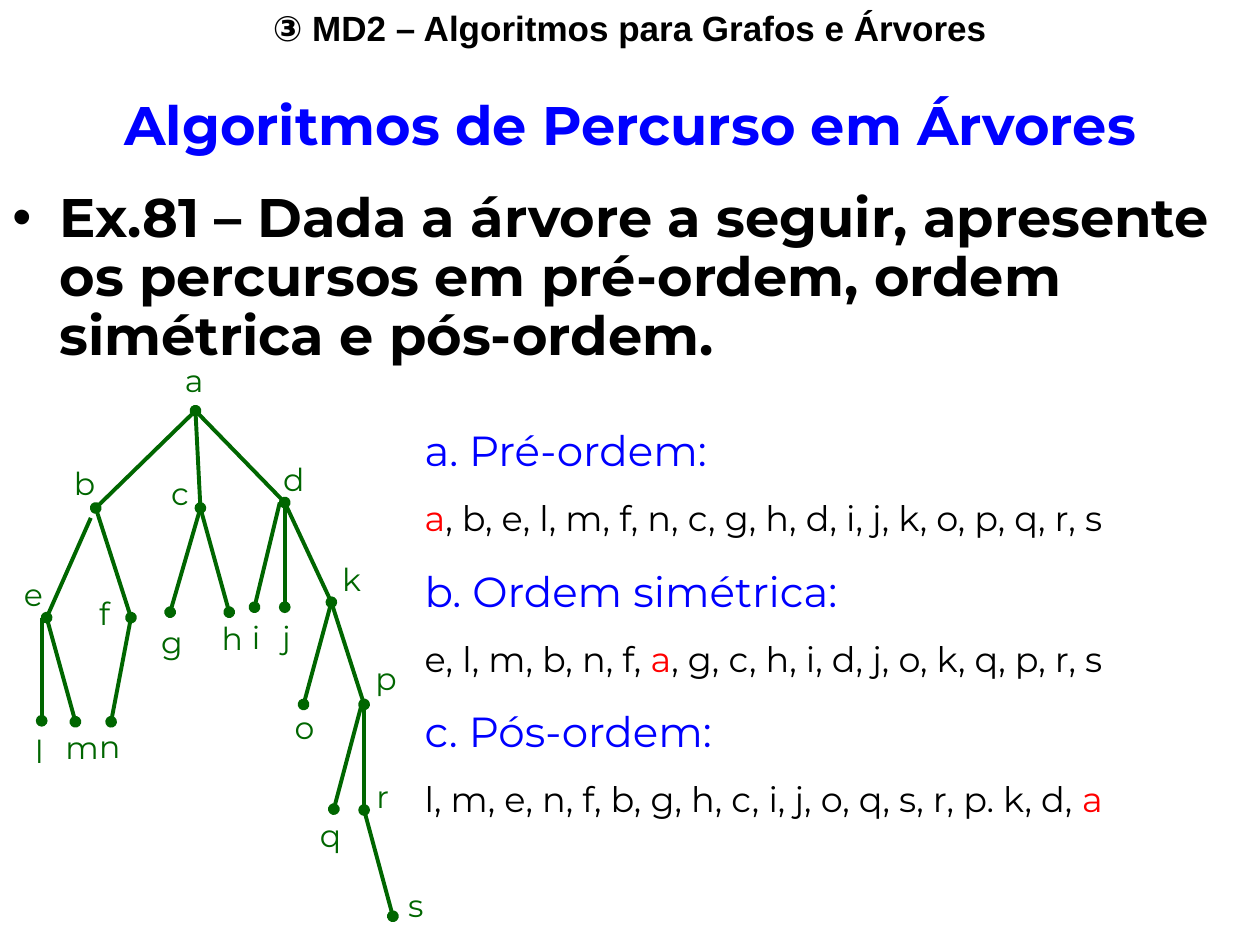
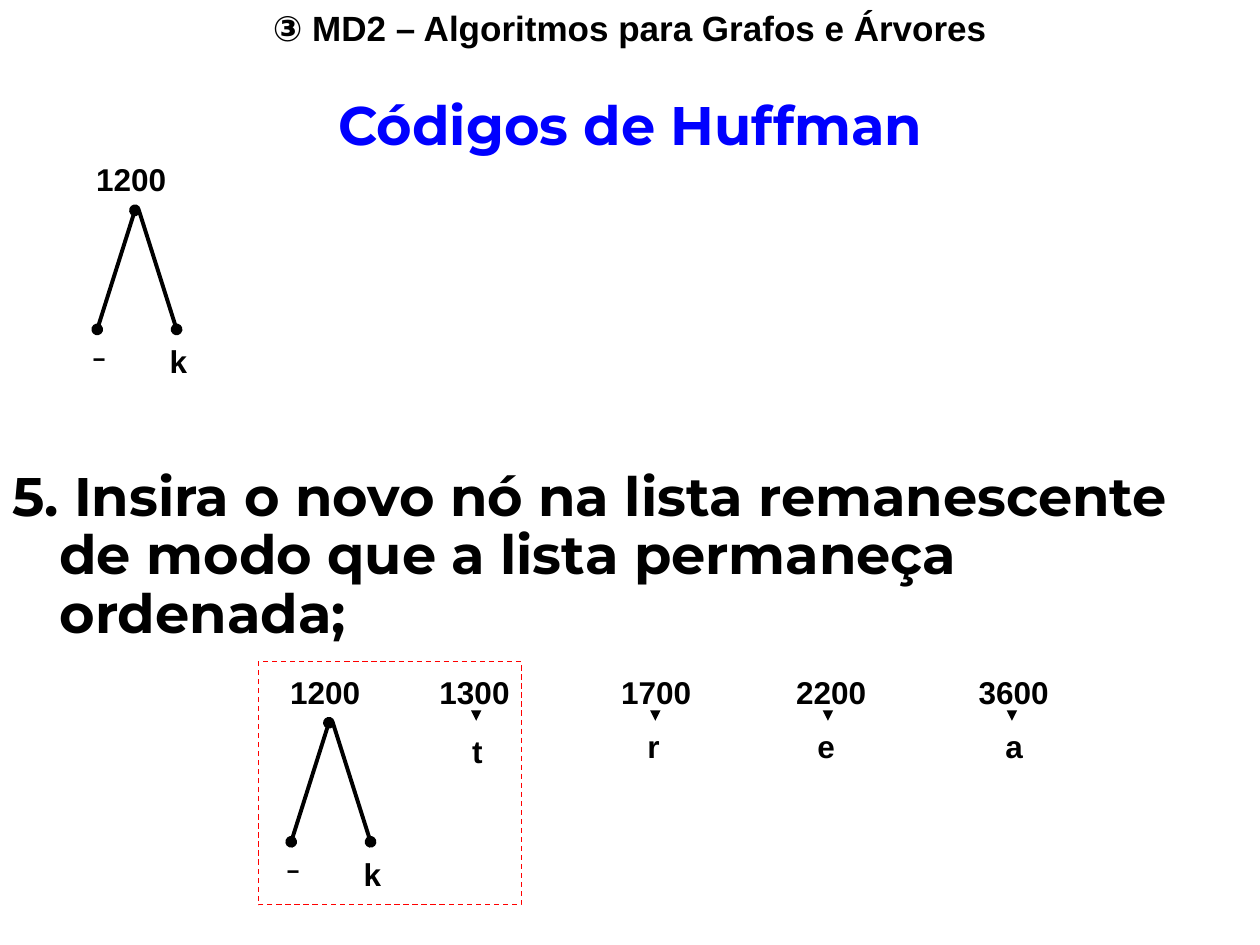
from dataclasses import dataclass
from typing import Any, Optional

from lxml import etree
from pptx import Presentation
from pptx.dml.color import RGBColor
from pptx.enum.dml import MSO_LINE
from pptx.enum.shapes import MSO_CONNECTOR, MSO_SHAPE
from pptx.enum.text import MSO_ANCHOR, MSO_AUTO_SIZE, PP_ALIGN
from pptx.oxml.ns import qn
from pptx.util import Cm, Pt

CENTER = PP_ALIGN.CENTER
LEFT = PP_ALIGN.LEFT
TOP = MSO_ANCHOR.TOP
NO_AUTOSIZE = MSO_AUTO_SIZE.NONE
STRAIGHT = MSO_CONNECTOR.STRAIGHT
RECTANGLE = MSO_SHAPE.RECTANGLE
DASH = MSO_LINE.DASH

BLACK = RGBColor(0x00, 0x00, 0x00)
BLUE = RGBColor(0x00, 0x00, 0xFF)
RED = RGBColor(0xFF, 0x00, 0x00)
GREEN = RGBColor(0x00, 0x66, 0x00)

SLIDE_WIDTH = 25.4
SLIDE_HEIGHT = 19.05
LABEL_HEIGHT = 1.02
HANGING = 0.95
COURSE = "③ MD2 – Algoritmos para Grafos e Árvores"

HEADING_FONT = {"name": "Arial", "size": Pt(20), "bold": True}
TITLE_FONT = {"name": "Montserrat", "size": Pt(31), "bold": True}
NODE_FONT = {"name": "Montserrat", "size": Pt(18), "bold": False}
VALUE_FONT = {"name": "Arial", "size": Pt(18), "bold": True}
DASH_FONT = {"name": "Montserrat", "size": Pt(24), "bold": False}
QUESTION_FONT = {"name": "Montserrat", "size": Pt(24), "bold": False}
ANSWER_FONT = {"name": "Montserrat", "size": Pt(20), "bold": False}


@dataclass(frozen=True)
class Node:
    name: str
    x: float
    y: float
    label_x: float
    label_y: float
    parent: Optional[str] = None
    start_dx: float = 0
    start_dy: float = 0


@dataclass(frozen=True)
class SingleNode:
    value: str
    symbol: str
    value_x: float
    arrow_x: float
    symbol_x: float
    symbol_y: float = 14.53


TREE = [
    Node("a", 3.94, 8.28, 3.48, 7.14),
    Node("b", 1.93, 10.24, 1.24, 9.22, "a"),
    Node("c", 4.04, 10.24, 3.2, 9.42, "a"),
    Node("d", 5.74, 10.13, 5.46, 9.14, "a"),
    Node("e", 0.94, 12.45, 0.23, 11.46, "b", -0.1, 0.2),
    Node("f", 2.64, 12.45, 1.75, 11.84, "b"),
    Node("g", 3.43, 12.34, 3, 12.42, "c"),
    Node("h", 4.62, 12.34, 4.22, 12.34, "c"),
    Node("i", 5.13, 12.24, 4.83, 12.32, "d", -0.1),
    Node("j", 5.74, 12.24, 5.44, 12.32, "d"),
    Node("k", 6.68, 12.14, 6.65, 11.15, "d"),
    Node("l", 0.84, 14.53, 0.46, 14.63, "e", -0.1),
    Node("m", 1.52, 14.55, 1.07, 14.55, "e"),
    Node("n", 2.24, 14.55, 1.75, 14.53, "f"),
    Node("o", 6.12, 14.2, 5.69, 14.15, "k"),
    Node("p", 7.34, 14.2, 7.32, 13.16, "k"),
    Node("q", 6.73, 16.31, 6.2, 16.33, "p", -0.05),
    Node("r", 7.34, 16.33, 7.34, 15.54, "p"),
    Node("s", 7.92, 18.47, 7.98, 17.73, "r"),
]
NODE_LABEL_WIDTHS = {"i": 0.66, "j": 0.66, "l": 0.66, "m": 1.1}

TRAVERSALS = [
    ("a. Pré-ordem:", "a, b, e, l, m, f, n, c, g, h, d, i, j, k, o, p, q, r, s"),
    ("b. Ordem simétrica:", "e, l, m, b, n, f, a, g, c, h, i, d, j, o, k, q, p, r, s"),
    ("c. Pós-ordem:", "l, m, e, n, f, b, g, h, c, i, j, o, q, s, r, p. k, d, a"),
]

SINGLE_NODES = [
    SingleNode("1300", "t", 8.61, 9.6, 9.27, 14.63),
    SingleNode("1700", "r", 12.27, 13.21, 12.8),
    SingleNode("2200", "e", 15.8, 16.69, 16.23),
    SingleNode("3600", "a", 19.48, 20.4, 20.02),
]


def set_values(target: Any, values: dict) -> None:
    for name, value in values.items():
        setattr(target, name, value)


def add_run(paragraph: Any, text: str, font: dict, color: RGBColor) -> None:
    run = paragraph.add_run()
    run.text = text
    set_values(run.font, font)
    run.font.color.rgb = color


def place(shape: Any, left: float, top: float, width: float, height: float) -> None:
    set_values(shape, {"left": Cm(left), "top": Cm(top),
                       "width": Cm(width), "height": Cm(height)})
    set_values(shape.text_frame, {
        "word_wrap": True, "auto_size": NO_AUTOSIZE, "vertical_anchor": TOP,
        "margin_left": Cm(0.25), "margin_right": Cm(0.25),
        "margin_top": Cm(0.13), "margin_bottom": Cm(0.13)})


def add_text_box(slide: Any, left: float, top: float, width: float, height: float) -> Any:
    box = slide.shapes.add_textbox(Cm(left), Cm(top), Cm(width), Cm(height))
    place(box, left, top, width, height)
    return box.text_frame


def add_label(slide: Any, text: str, left: float, top: float, width: float,
              font: dict, color: RGBColor, height: float = LABEL_HEIGHT) -> None:
    frame = add_text_box(slide, left, top, width, height)
    add_run(frame.paragraphs[0], text, font, color)


def add_line(slide: Any, start: tuple[float, float], end: tuple[float, float],
             color: RGBColor, width: float = 2.25,
             head: Optional[str] = None, tail: str = "oval") -> None:
    connector = slide.shapes.add_connector(
        STRAIGHT, *(Cm(length) for length in (*start, *end)))
    connector.line.color.rgb = color
    connector.line.width = Pt(width)
    properties = connector._element.spPr
    line = properties.find(qn("a:ln"))
    for tag, kind in (("a:headEnd", head), ("a:tailEnd", tail)):
        if kind:
            etree.SubElement(line, qn(tag), type=kind)
    etree.SubElement(properties, qn("a:effectLst"))


def add_slide(presentation: Any, title: str, body: str, body_top: float,
              bullet: Optional[str] = None) -> Any:
    slide = presentation.slides.add_slide(presentation.slide_layouts[1])
    heading = add_text_box(slide, 0, 0, SLIDE_WIDTH, 1.12).paragraphs[0]
    heading.alignment = CENTER
    add_run(heading, COURSE, HEADING_FONT, BLACK)

    title_shape, body_shape = slide.placeholders
    place(title_shape, 0, 1.85, SLIDE_WIDTH, 1.5)
    place(body_shape, 0, body_top, SLIDE_WIDTH, 3.8)
    for shape, text, color, alignment in (
            (title_shape, title, BLUE, CENTER), (body_shape, body, BLACK, LEFT)):
        paragraph = shape.text_frame.paragraphs[0]
        set_values(paragraph, {"alignment": alignment, "line_spacing": 0.9,
                               "space_before": Pt(0)})
        add_run(paragraph, text, TITLE_FONT, color)

    properties = body_shape.text_frame.paragraphs[0]._p.get_or_add_pPr()
    properties.set("marL", str(Cm(HANGING)))
    properties.set("indent", str(-Cm(HANGING)))
    if bullet:
        etree.SubElement(properties, qn("a:buFont"), typeface="Arial")
        etree.SubElement(properties, qn("a:buChar"), char=bullet)
    else:
        etree.SubElement(properties, qn("a:buNone"))
    return slide


def add_tree(slide: Any) -> None:
    nodes = {node.name: node for node in TREE}
    for node in TREE:
        if node.parent:
            parent = nodes[node.parent]
            start = (parent.x + node.start_dx, parent.y + node.start_dy)
            head = "oval" if node.name == "b" else None
            add_line(slide, start, (node.x, node.y), GREEN, head=head)
        add_label(slide, node.name, node.label_x, node.label_y,
                  NODE_LABEL_WIDTHS.get(node.name, 0.88), NODE_FONT, GREEN)


def add_traversals(slide: Any) -> None:
    frame = add_text_box(slide, 8.31, 8.43, 17.09, 8.23)
    for index, (question, answer) in enumerate(TRAVERSALS):
        paragraph = frame.add_paragraph() if index else frame.paragraphs[0]
        paragraph.space_before = Pt(15 if index else 0)
        add_run(paragraph, question, QUESTION_FONT, BLUE)
        paragraph = frame.add_paragraph()
        paragraph.space_before = Pt(12.5)
        before, root, after = answer.partition("a")
        for text, color in ((before, BLACK), (root, RED), (after, BLACK)):
            if text:
                add_run(paragraph, text, ANSWER_FONT, color)


def add_merged_node(slide: Any, x: float, y: float) -> None:
    add_line(slide, (x, y), (x - 0.76, y + 2.4), BLACK, head="oval")
    add_line(slide, (x + 0.08, y), (x + 0.84, y + 2.4), BLACK)
    add_label(slide, "1200", x - 1.03, y - 1.14, 1.95, VALUE_FONT, BLACK)
    add_label(slide, "-", x - 1.13, y + 2.27, 0.94, DASH_FONT, BLACK, 1.27)
    add_label(slide, "k", x + 0.45, y + 2.53, 0.88, VALUE_FONT, BLACK)


def add_single_node(slide: Any, node: SingleNode) -> None:
    add_line(slide, (node.arrow_x, 14.43), (node.arrow_x, 14.53), BLACK,
             width=0.75, tail="triangle")
    add_label(slide, node.value, node.value_x, 13.44, 1.95, VALUE_FONT, BLACK)
    add_label(slide, node.symbol, node.symbol_x, node.symbol_y, 0.88, VALUE_FONT, BLACK)


def add_selection(slide: Any) -> None:
    frame = slide.shapes.add_shape(RECTANGLE, Cm(5.21), Cm(13.34), Cm(5.3), Cm(4.9))
    frame.shadow.inherit = False
    frame.fill.background()
    frame.line.color.rgb = RED
    set_values(frame.line, {"width": Pt(0.75), "dash_style": DASH})


def main() -> None:
    presentation = Presentation()
    presentation.slide_width = Cm(SLIDE_WIDTH)
    presentation.slide_height = Cm(SLIDE_HEIGHT)

    traversal_slide = add_slide(
        presentation, "Algoritmos de Percurso em Árvores",
        "Ex.81 – Dada a árvore a seguir, apresente os percursos em pré-ordem, "
        "ordem simétrica e pós-ordem.", 3.72, "•")
    add_traversals(traversal_slide)
    add_tree(traversal_slide)

    huffman_slide = add_slide(
        presentation, "Códigos de Huffman",
        "5. Insira o novo nó na lista remanescente de modo que a lista "
        "permaneça ordenada;", 9.33)
    add_merged_node(huffman_slide, 2.72, 4.24)
    add_merged_node(huffman_slide, 6.63, 14.57)
    for node in SINGLE_NODES:
        add_single_node(huffman_slide, node)
    add_selection(huffman_slide)

    presentation.save("out.pptx")


if __name__ == "__main__":
    main()
